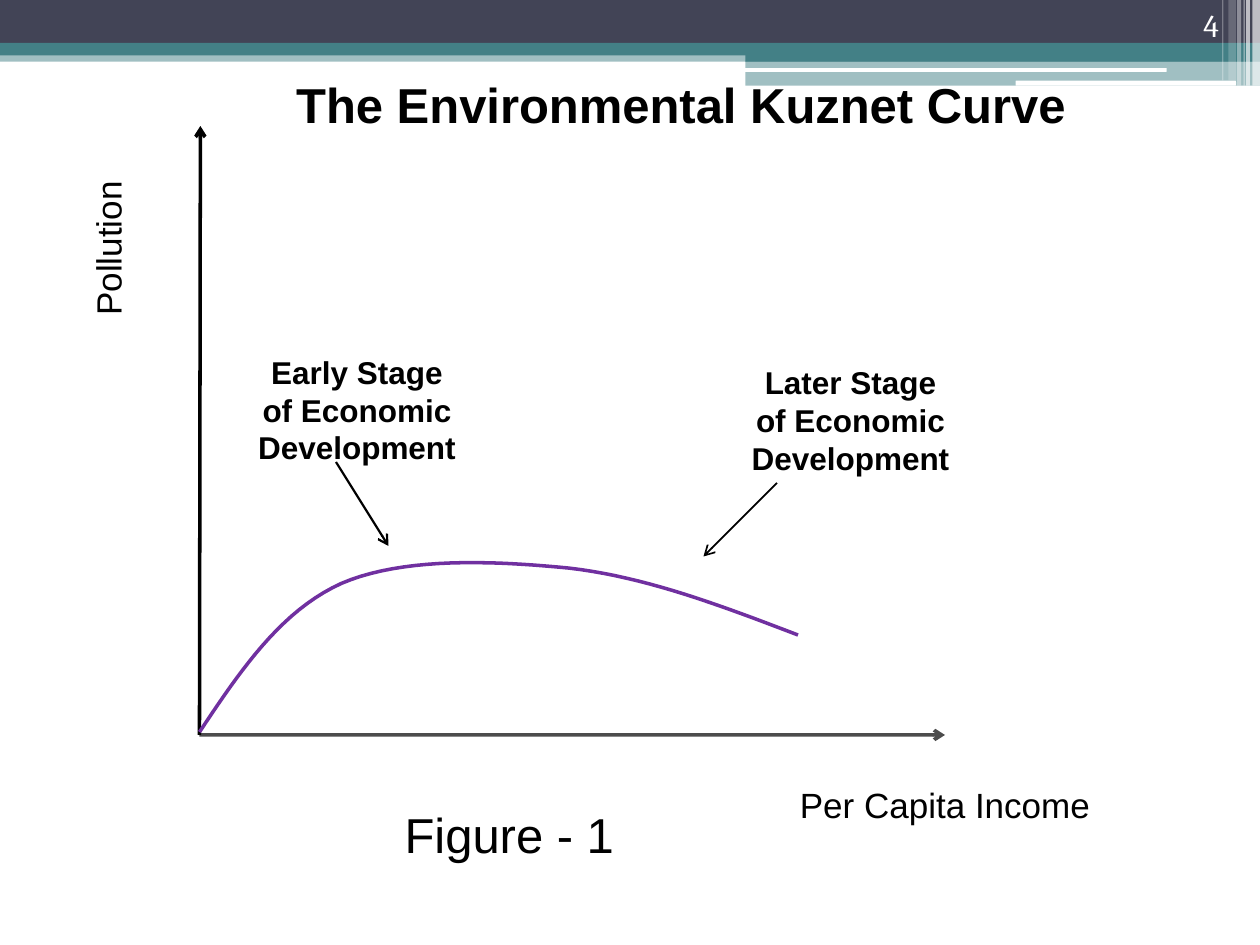
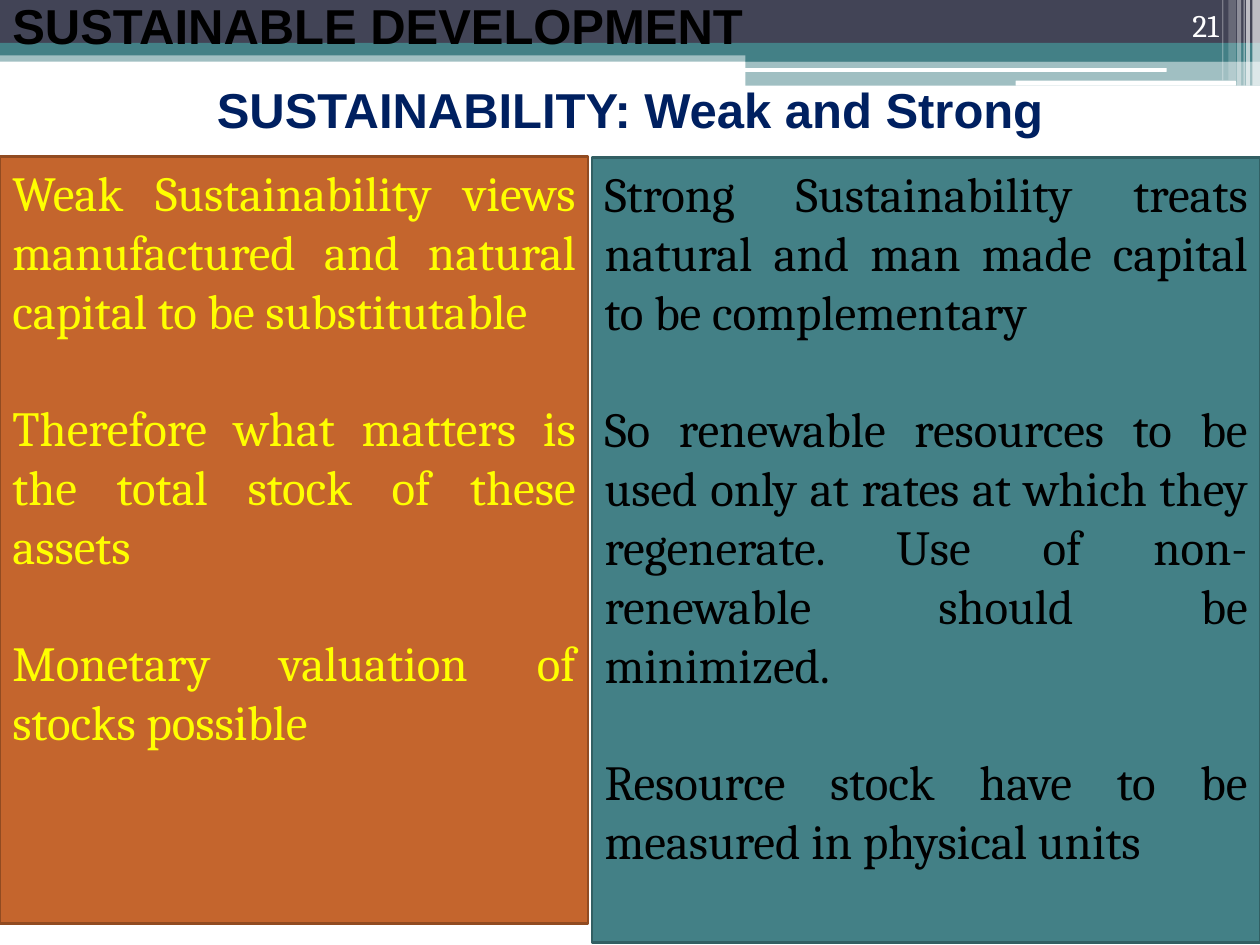
"""Build two slides on the environment and sustainable development."""
from collections import namedtuple

from lxml.etree import SubElement
from pptx import Presentation
from pptx.dml.color import RGBColor
from pptx.enum.shapes import MSO_CONNECTOR, MSO_SHAPE
from pptx.enum.text import MSO_ANCHOR, PP_ALIGN
from pptx.oxml.ns import qn
from pptx.util import Pt

Box = namedtuple("Box", "left top width height")

COLORS = {
    "white": "FFFFFF", "black": "000000", "slate": "424456", "teal": "438086",
    "teal_edge": "325F63", "rust": "C4652D", "rust_edge": "914B21",
    "yellow": "FFFF00", "navy": "002060", "purple": "7030A0",
}
HEADING = {"size": 28, "bold": True, "align": PP_ALIGN.CENTER}
BAND = Box(0, 0, 720, 49)
BARS = [
    (0, 28.8, 720, 6.5, "teal", 50),
    (0, 0, 720, 24.5, "slate", 100),
    (0, 24.5, 720, 7.2, "teal", 100),
    (426, 28.1, 294, 7.2, "teal", 100),
    (426, 34.6, 294, 14.4, "teal", 50),
]
RULES = [(425.5, 38.9, 241.2, 2.2), (580.3, 46.1, 126, 2.9)]
STRIPES = [
    (715.7, 4.3, 49, 65), (712.1, 2.2, 49, 65), (710.6, 0.7, 49, 60),
    (707, 2.2, 49, 40), (702, 4.3, 46, 20), (698.4, 0.7, 46, 30),
]
CURVE_START = (0, 346.3)
CURVE_SEGMENTS = [
    ((23, 311.8), (46.1, 277.2), (81.1, 261.4)),
    ((116.4, 246.2), (168.2, 248.4), (211.4, 252.7)),
    ((255.4, 257.8), (298.6, 274.3), (342, 290.9)),
]
CURVE_STEPS = 20


def color(name):
    """Return the named colour."""
    return RGBColor.from_string(COLORS[name])


def set_opacity(holder, opacity):
    """Make the solid fill inside an element partly transparent."""
    if opacity < 100:
        shade = next(holder.iter(qn("a:srgbClr")))
        SubElement(shade, qn("a:alpha"), val=str(opacity * 1000))


def add_block(page, box, fill, opacity=100, kind=MSO_SHAPE.RECTANGLE, edge=None):
    """Add a filled shape, with an outline if an edge colour is given."""
    block = page.shapes.add_shape(kind, *map(Pt, box))
    block.shadow.inherit = False
    block.fill.solid()
    block.fill.fore_color.rgb = color(fill)
    set_opacity(block.element.spPr, opacity)
    if edge:
        block.line.color.rgb = color(edge)
        block.line.width = Pt(1.5)
    else:
        block.line.fill.background()
    return block


def write(frame, text, size=20, font="Arial", ink="black", bold=False,
          align=PP_ALIGN.LEFT, anchor=MSO_ANCHOR.TOP, gap=0):
    """Write lines of text as paragraphs with one format."""
    frame.word_wrap = True
    frame.vertical_anchor = anchor
    for index, line in enumerate(text.split("\n")):
        para = frame.add_paragraph() if index else frame.paragraphs[0]
        para.alignment = align
        if index:
            para.space_before = Pt(gap)
        span = para.add_run()
        span.text = line
        span.font.size = Pt(size)
        span.font.name = font
        span.font.bold = bold
        span.font.color.rgb = color(ink)


def add_text(page, box, text, rotation=0, **style):
    """Add a text box."""
    label = page.shapes.add_textbox(*map(Pt, box))
    label.rotation = rotation
    write(label.text_frame, text, **style)


def add_arrow(page, start, end, width, opacity=100):
    """Add a straight black arrow."""
    arrow = page.shapes.add_connector(MSO_CONNECTOR.STRAIGHT, *map(Pt, start + end))
    arrow.line.color.rgb = color("black")
    arrow.line.width = Pt(width)
    properties = arrow.element.spPr
    set_opacity(properties, opacity)
    SubElement(properties.find(qn("a:ln")), qn("a:tailEnd"), type="arrow")
    SubElement(properties, qn("a:effectLst"))


def add_band(page, box):
    """Draw the decorated band at the head of a slide."""
    for left, top, width, height, fill, opacity in BARS:
        add_block(page, Box(box.left + left, box.top + top, width, height), fill, opacity)
    for left, top, width, height in RULES:
        add_block(page, Box(box.left + left, box.top + top, width, height),
                  "white", kind=MSO_SHAPE.ROUNDED_RECTANGLE)
    for left, width, height, opacity in STRIPES:
        add_block(page, Box(box.left + left, box.top, width, height), "white", opacity)


def add_number(page, box, number):
    """Write the slide number in the right part of the band."""
    add_text(page, Box(box.left + 643.7, box.top, 59.8, 28.8), str(number), size=18,
             font="Cambria", ink="white", align=PP_ALIGN.RIGHT, anchor=MSO_ANCHOR.BOTTOM)


def curve_points(origin):
    """Return points along the joined cubic curves."""
    points = [CURVE_START]
    for first, second, end in CURVE_SEGMENTS:
        start = points[-1]
        for step in range(1, CURVE_STEPS + 1):
            t = step / CURVE_STEPS
            weights = ((1 - t) ** 3, 3 * t * (1 - t) ** 2, 3 * t ** 2 * (1 - t), t ** 3)
            corners = (start, first, second, end)
            points.append(tuple(sum(w * corner[axis] for w, corner in zip(weights, corners))
                                for axis in (0, 1)))
    return [(Pt(origin.left + x), Pt(origin.top + y)) for x, y in points]


def add_curve(page, box):
    """Draw the pollution curve in the plot box."""
    points = curve_points(box)
    builder = page.shapes.build_freeform(*points[0])
    builder.add_line_segments(points[1:], close=False)
    curve = builder.convert_to_shape()
    curve.shadow.inherit = False
    curve.fill.background()
    curve.line.color.rgb = color("purple")
    curve.line.width = Pt(2)


def add_stage(page, box, text, start, end, width):
    """Add a stage label and its arrow to the curve, placed from the label's corner."""
    add_text(page, box, text, size=18, bold=True, align=PP_ALIGN.CENTER)
    add_arrow(page, *((box.left + x, box.top + y) for x, y in (start, end)), width)


def add_plot(page, box):
    """Draw the axes, curve and labels of the plot."""
    left, top, width, height = box
    corner = (left, top + height)
    add_arrow(page, corner, (left + 0.5, top), 2)
    add_arrow(page, corner, (left + width, top + height), 2, opacity=69)
    add_text(page, Box(left + 336, top + 372, 186, 32), "Per Capita Income")
    add_text(page, Box(left - 135, top + 91.5, 166, 32), "Pollution", rotation=270,
             align=PP_ALIGN.RIGHT)
    add_curve(page, box)
    add_stage(page, Box(left + 24, top + 126, 132, 73),
              "Early Stage of Economic Development", (54, 66), (84, 114), 1.25)
    add_stage(page, Box(left + 306, top + 132, 132, 73),
              "Later Stage of Economic Development", (24, 72), (-18, 114), 1)
    add_text(page, Box(left + 102, top + 384, 150, 41), "Figure - 1", size=28,
             align=PP_ALIGN.CENTER)


def add_panel(page, box, text, fill, edge, ink):
    """Add a coloured panel of justified paragraphs."""
    panel = add_block(page, box, fill, edge=edge)
    write(panel.text_frame, text, size=28, font="Cambria", ink=ink,
          align=PP_ALIGN.JUSTIFY, gap=33.5)


def build_curve_slide(page):
    """Build the slide with the Kuznet curve."""
    add_band(page, BAND)
    add_number(page, BAND, 4)
    add_plot(page, Box(114, 72, 426, 348))
    add_text(page, Box(120, 39, 546, 41), "The Environmental Kuznet Curve ", **HEADING)


def build_comparison_slide(page):
    """Build the slide that compares weak and strong sustainability."""
    add_band(page, BAND)
    title = HEADING | {"anchor": MSO_ANCHOR.MIDDLE}
    add_text(page, Box(0, 0, 720, 29), "SUSTAINABLE DEVELOPMENT",
             **title | {"align": PP_ALIGN.LEFT})
    add_text(page, Box(0, 47.5, 720, 30), "SUSTAINABILITY: Weak and Strong",
             ink="navy", **title)
    add_panel(page, Box(0, 89.3, 336, 438.5),
              "Weak Sustainability views manufactured and natural capital to be substitutable\n"
              "Therefore what matters is the total stock of these assets\n"
              "Monetary valuation of stocks possible",
              "rust", "rust_edge", "yellow")
    add_panel(page, Box(338.4, 90, 381.6, 448.5),
              "Strong Sustainability treats natural and man made capital to be complementary\n"
              "So renewable resources to be used only at rates at which they regenerate. "
              "Use of non-renewable should be minimized.\n"
              "Resource stock have to be measured in physical units",
              "teal", "teal_edge", "black")
    add_number(page, BAND, 21)


def main():
    """Create the deck and save it."""
    deck = Presentation()
    deck.slide_width, deck.slide_height = Pt(720), Pt(540)
    for build in (build_curve_slide, build_comparison_slide):
        build(deck.slides.add_slide(deck.slide_layouts[6]))
    deck.save("out.pptx")


if __name__ == "__main__":
    main()
